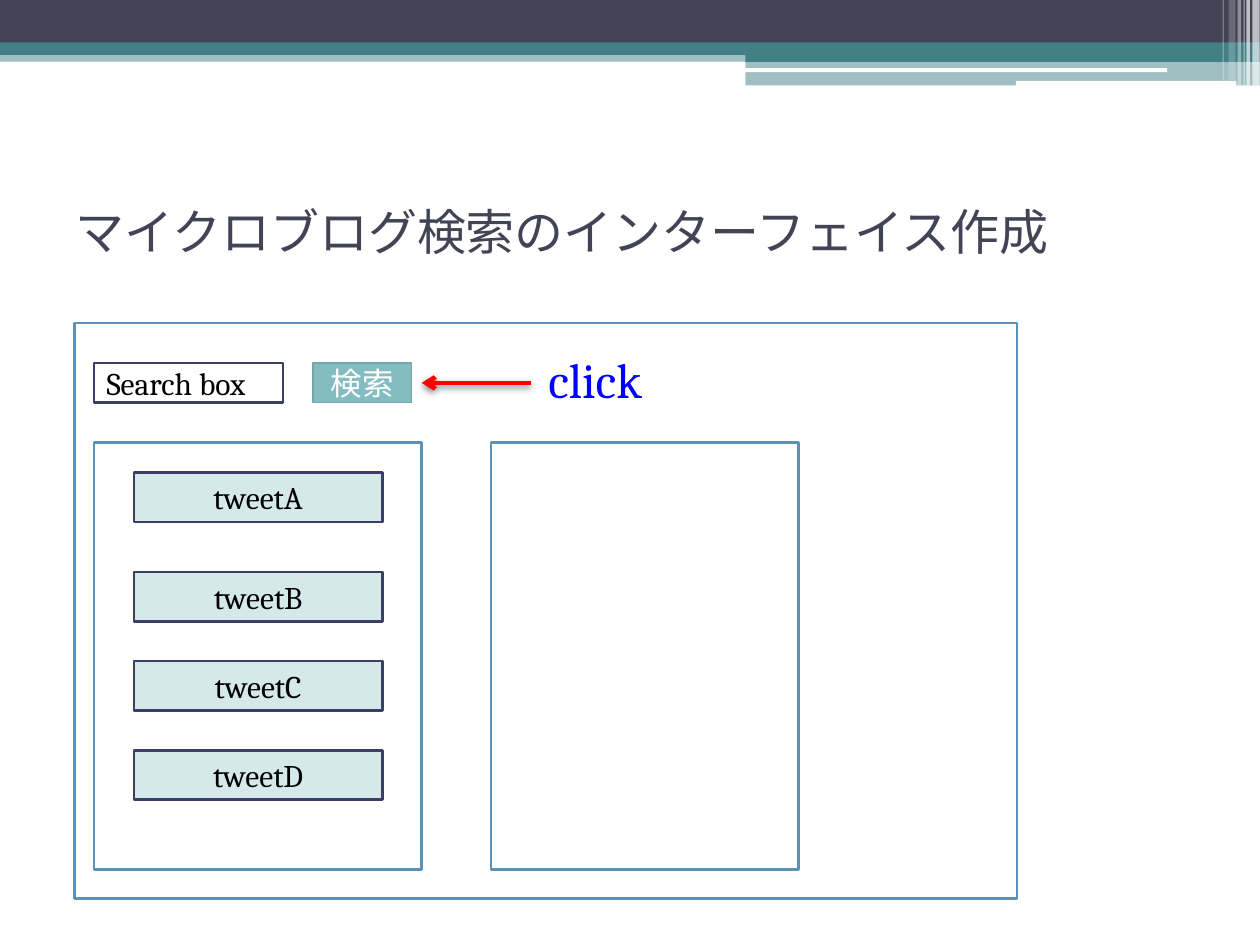
from lxml import etree
from pptx import Presentation
from pptx.dml.color import RGBColor
from pptx.enum import shapes, text
from pptx.oxml.ns import qn
from pptx.util import Pt

NAVY, TEAL, WHITE, BLACK = "424456", "438086", "FFFFFF", "000000"
FRAME, EDGE = "5C92B5", "3D3E66"
LEFT, CENTER = text.PP_ALIGN.LEFT, text.PP_ALIGN.CENTER


def rgb(value):
    return RGBColor.from_string(value)


def set_alpha(color_el, percent):
    etree.SubElement(color_el, qn("a:alpha")).set("val", str(percent * 1000))


def write(sp, words, size=18, font="Cambria", color=BLACK, align=LEFT,
          anchor=text.MSO_ANCHOR.MIDDLE, wrap=True):
    tf = sp.text_frame
    tf.word_wrap = wrap
    tf.vertical_anchor = anchor
    p = tf.paragraphs[0]
    p.alignment = align
    r = p.add_run()
    r.text = words
    r.font.size = Pt(size)
    r.font.name = font
    r.font.color.rgb = rgb(color)
    ea = etree.SubElement(r.font._element, qn("a:ea"))
    ea.set("typeface", "Noto Sans")
    return p


def box(s, x, y, w, h, fill=None, alpha=100, line=None, weight=1.5, rounded=False):
    kind = shapes.MSO_SHAPE.ROUNDED_RECTANGLE if rounded else shapes.MSO_SHAPE.RECTANGLE
    sp = s.shapes.add_shape(kind, Pt(x), Pt(y), Pt(w), Pt(h))
    sp.shadow.inherit = False
    if fill:
        sp.fill.solid()
        sp.fill.fore_color.rgb = rgb(fill)
        if alpha < 100:
            set_alpha(sp._element.spPr.find(".//" + qn("a:srgbClr")), alpha)
    else:
        sp.fill.background()
    if line:
        sp.line.color.rgb = rgb(line)
        sp.line.width = Pt(weight)
    else:
        sp.line.fill.background()
    return sp


def banner(s):
    box(s, 0, 28.8, 720, 6.5, TEAL, 50)
    box(s, 0, 0, 720, 24.5, NAVY)
    box(s, 0, 24.2, 720, 7.2, TEAL)
    box(s, 426, 28.2, 294, 7.2, TEAL)
    box(s, 426, 34.8, 294, 14, TEAL, 50)
    box(s, 425.5, 39, 241.5, 2.2, WHITE, rounded=True)
    box(s, 580.5, 46.2, 126, 2.8, WHITE, rounded=True)
    stripes = [(715.6, 4.2, 49, 65), (712.2, 2, 49, 65), (710.6, 0.7, 49, 60),
               (707.2, 2, 49, 40), (702, 4, 46, 20), (698.7, 0.7, 46, 30)]
    for x, w, h, alpha in stripes:
        box(s, x, 0, w, h, WHITE, alpha)


def title(s, words):
    sp = s.shapes.title
    sp.left, sp.top, sp.width, sp.height = Pt(36), Pt(90), Pt(648), Pt(84)
    write(sp, words, size=28, font="Noto Sans", color=NAVY)


def label(s, words, x, y, w, h):
    """Add an indented callout label."""
    sp = s.shapes.add_textbox(Pt(x), Pt(y), Pt(w), Pt(h))
    p = write(sp, words, size=28, color="0000FF", anchor=text.MSO_ANCHOR.TOP)
    p.space_before = Pt(3)
    pPr = p._p.get_or_add_pPr()
    pPr.set("marL", str(Pt(28.8)))
    pPr.set("indent", str(Pt(-20.16)))


def arrow(s, x1, x2, y, color):
    """Add a level arrow that points at x2 and casts a soft shadow."""
    c = s.shapes.add_connector(shapes.MSO_CONNECTOR.STRAIGHT, Pt(x1), Pt(y), Pt(x2), Pt(y))
    c.line.color.rgb = rgb(color)
    c.line.width = Pt(2.5)
    etree.SubElement(c.line._get_or_add_ln(), qn("a:tailEnd")).set("type", "arrow")
    effects = etree.SubElement(c._element.spPr, qn("a:effectLst"))
    shadow = etree.SubElement(effects, qn("a:outerShdw"), blurRad=str(Pt(4)),
                              dist=str(Pt(2)), dir="5400000", rotWithShape="0")
    set_alpha(etree.SubElement(shadow, qn("a:srgbClr"), val=BLACK), 45)


def main():
    prs = Presentation()
    prs.slide_width, prs.slide_height = Pt(720), Pt(540)
    s = prs.slides.add_slide(prs.slide_layouts[5])
    banner(s)
    title(s, "マイクロブログ検索のインターフェイス作成")

    box(s, 42.5, 184.6, 538.6, 329, line=FRAME)
    write(box(s, 53.8, 207.4, 108, 22.6, line=EDGE), "Search box")
    button = box(s, 178.8, 207.4, 56.2, 22.6, "83BCC1", line="76A5AC", weight=0.75)
    write(button, "検索", color=WHITE, align=CENTER, wrap=False)

    box(s, 53.8, 252.8, 187.2, 244, WHITE, line=FRAME)
    for name, y in zip("ABCD", (270, 326.8, 377.8, 428.7)):
        write(box(s, 76.5, y, 142, 28.3, "D6E9EA", line=EDGE), "tweet" + name, align=CENTER)
    box(s, 280.6, 252.8, 175.8, 244, WHITE, line=FRAME)

    label(s, "click", 297.6, 196.4, 102, 45.4)
    arrow(s, 303.3, 241, 218.8, "FF0000")
    prs.save("out.pptx")


if __name__ == "__main__":
    main()
